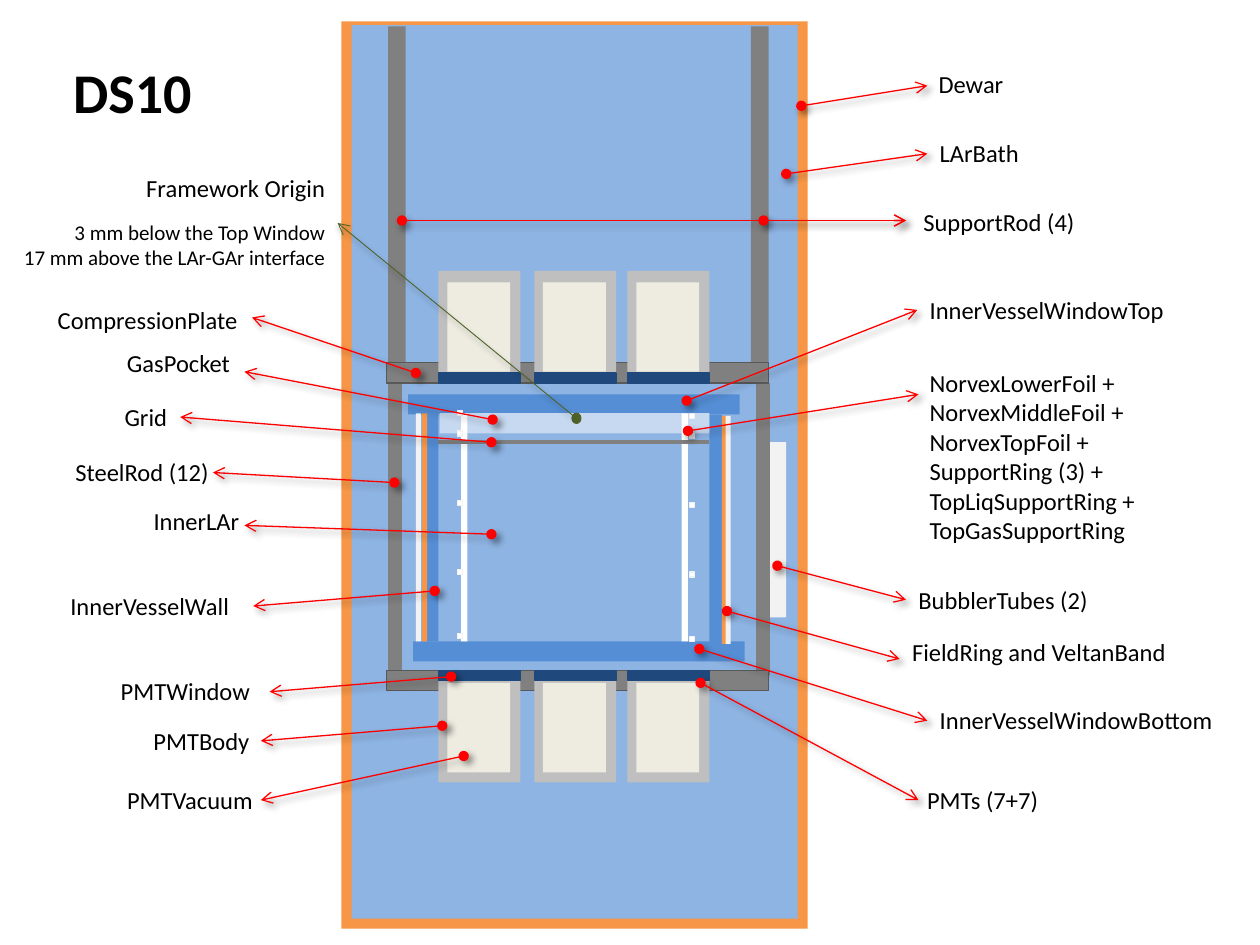
import pptx
import pptx.util
import pptx.dml.color
import pptx.enum.shapes
import pptx.enum.text
import pptx.oxml
import pptx.oxml.ns

ORANGE, BATH, VESSEL, STEEL = "F79646", "8EB4E3", "558ED5", "808080"
WHITE, PALE, GAS, GREY = "FFFFFF", "F2F2F2", "C6D9F1", "595959"
BODY, WINDOW, VACUUM = "BFBFBF", "1F497D", "EEECE1"
RED, GREEN, BLACK = "FF0000", "4F6228", "000000"

# (left, top, width, height, fill), from back to front
VESSEL_PARTS = [
    (2.71, 0.17, 3.7, 7.2, ORANGE), (2.79, 0.2, 3.54, 7.09, BATH),
    (3.24, 3.13, 2.63, 0.16, VESSEL), (3.28, 5.09, 2.63, 0.16, VESSEL),
    (3.08, 0.21, 0.14, 2.68, STEEL), (5.96, 0.21, 0.14, 2.68, STEEL),
    (3.38, 3.28, 0.1, 1.81, VESSEL), (5.63, 3.29, 0.1, 1.81, VESSEL),
    (3.49, 3.28, 2.14, 0.16, GAS),
    (5.41, 3.28, 0.05, 1.81, WHITE), (3.66, 3.28, 0.05, 1.81, WHITE),
    (5.73, 3.3, 0.04, 1.81, ORANGE), (5.76, 3.3, 0.04, 1.81, PALE),
    (3.35, 3.28, 0.04, 1.81, ORANGE), (3.3, 3.28, 0.04, 1.81, PALE),
]
RING_SIZE = 0.04
RING_TOPS = [3.26, 3.42, 3.97, 4.52, 5.03]
RING_COLUMNS = [(3.63, 0), (5.47, 0.02)]  # left, drop below RING_TOPS
FRAME_PARTS = [
    (6.1, 3.51, 0.14, 1.39, PALE),
    (6, 3.04, 0.11, 2.32, STEEL), (3.08, 3.04, 0.11, 2.32, STEEL),
    (3.07, 2.88, 3.03, 0.16, STEEL, GREY), (3.07, 5.32, 3.03, 0.16, STEEL, GREY),
]
PMT_LEFTS = [3.48, 4.24, 4.98]
PMT_ROWS = [(2.15, 2.96, 2.24), (5.32, 5.32, 5.42)]  # tops of body, window, vacuum

# (start, tip, label left, top, width, text)
CALLOUTS = [
    ((6.36, 0.84), (7.36, 0.68), 7.35, 0.5, 0.72, "Dewar"),
    ((6.24, 1.38), (7.36, 1.22), 7.36, 1.05, 0.84, "LArBath"),
    ((6.06, 1.75), (7.19, 1.75), 7.23, 1.59, 1.42, "SupportRod (4)"),
    ((3.19, 1.75), (7.19, 1.75), 0, 0, 0, ""),
    ((3.45, 4.69), (2.01, 4.81), 0.46, 4.64, 1.49, "InnerVesselWall"),
    ((5.77, 4.85), (7.14, 5.23), 7.14, 5.01, 2.3, "FieldRing and VeltanBand"),
    ((6.17, 4.49), (7.19, 4.76), 7.19, 4.59, 1.57, "BubblerTubes (2)"),
    ((5.46, 3.42), (7.29, 3.13), 7.28, 2.87, 1.86,
     "NorvexLowerFoil +\nNorvexMiddleFoil +\nNorvexTopFoil +\n"
     "SupportRing (3) +\nTopLiqSupportRing +\nTopGasSupportRing"),
    ((5.45, 3.18), (7.28, 2.46), 7.28, 2.29, 2.1, "InnerVesselWindowTop"),
    ((5.55, 5.15), (7.36, 5.72), 7.36, 5.55, 2.39, "InnerVesselWindowBottom"),
    ((3.91, 3.33), (1.94, 2.95), 0.91, 2.71, 1.04, "GasPocket"),
    ((3.9, 4.24), (1.94, 4.17), 1.12, 3.97, 0.89, "InnerLAr"),
    ((3.9, 3.51), (1.43, 3.31), 0.89, 3.14, 0.54, "Grid"),
    ((3.13, 3.83), (1.69, 3.75), 0.5, 3.58, 1.27, "SteelRod (12)"),
    ((3.3, 2.96), (2, 2.52), 0.36, 2.37, 1.65, "CompressionPlate"),
    ((3.58, 5.37), (2.14, 5.49), 0.86, 5.32, 1.24, "PMTWindow"),
    ((3.51, 5.76), (2.07, 5.88), 1.12, 5.71, 0.97, "PMTBody"),
    ((3.68, 6), (2.07, 6.35), 0.91, 6.18, 1.22, "PMTVacuum"),
    ((5.56, 5.42), (7.29, 6.35), 7.26, 6.18, 1.1, "PMTs (7+7)"),
]
# (text, size, space before)
ORIGIN_NOTE = [
    ("Framework Origin", 14, 0),
    ("3 mm below the Top Window", 12, 10),
    ("17 mm above the LAr-GAr interface", 12, 0),
]
LABEL_HEIGHT, LINE_STEP = 0.34, 0.23

SHAPE = pptx.enum.shapes.MSO_SHAPE
ALIGN = pptx.enum.text.PP_ALIGN
inch, pt = pptx.util.Inches, pptx.util.Pt


def rgb(color):
    return pptx.dml.color.RGBColor.from_string(color)


def add_part(slide, left, top, width, height, fill, line=None, kind=SHAPE.RECTANGLE):
    sp = slide.shapes.add_shape(kind, inch(left), inch(top), inch(width), inch(height))
    sp.shadow.inherit = False
    sp.fill.solid()
    sp.fill.fore_color.rgb = rgb(fill)
    if line:
        sp.line.color.rgb = rgb(line)
        sp.line.width = pt(0.75)
    else:
        sp.line.fill.background()


def add_line(slide, start, end, color, width, head=None, tail=None, shadow=None):
    """Shadow is (opacity %, blur pt, distance pt, direction in degrees)."""
    c = slide.shapes.add_connector(pptx.enum.shapes.MSO_CONNECTOR.STRAIGHT,
                                   *map(inch, start + end))
    c.line.color.rgb = rgb(color)
    c.line.width = pt(width)
    ns = pptx.oxml.ns.nsdecls("a")
    ln = c.line._get_or_add_ln()
    for tag, end_type in (("headEnd", head), ("tailEnd", tail)):
        if end_type:
            ln.append(pptx.oxml.parse_xml(f'<a:{tag} {ns} type="{end_type}"/>'))
    effect = ""
    if shadow:
        alpha, blur, dist, angle = shadow
        effect = (f'<a:outerShdw blurRad="{pt(blur)}" dist="{pt(dist)}" '
                  f'dir="{angle * 60000}" rotWithShape="0"><a:srgbClr val="{BLACK}">'
                  f'<a:alpha val="{alpha * 1000}"/></a:srgbClr></a:outerShdw>')
    c._element.spPr.append(
        pptx.oxml.parse_xml(f"<a:effectLst {ns}>{effect}</a:effectLst>"))


def style(p, size, bold=False, align=ALIGN.LEFT):
    p.alignment = align
    p.font.name, p.font.size, p.font.bold = "Calibri", pt(size), bold
    p.font.color.rgb = rgb(BLACK)


def add_text_frame(slide, left, top, width, height, wrap=False):
    sp = slide.shapes.add_textbox(inch(left), inch(top), inch(width), inch(height))
    sp.text_frame.word_wrap = wrap
    return sp.text_frame


def add_label(slide, left, top, width, text):
    height = LABEL_HEIGHT + LINE_STEP * text.count("\n")
    # Wrapping would depend on the box width; labels keep their own line breaks.
    tf = add_text_frame(slide, left, top, width, height)
    tf.text = text
    for p in tf.paragraphs:
        style(p, 14)


def add_title(slide, text):
    sp = slide.shapes.title
    sp.left, sp.top, sp.width, sp.height = map(inch, (0.48, 0.4, 1.15, 0.64))
    tf = sp.text_frame
    tf.text = text
    tf.word_wrap = False
    tf.auto_size = pptx.enum.text.MSO_AUTO_SIZE.NONE
    style(tf.paragraphs[0], 32, bold=True)


def add_detector(slide):
    for part in VESSEL_PARTS:
        add_part(slide, *part)
    add_line(slide, (3.48, 3.51), (5.63, 3.51), STEEL, 2)
    for left, drop in RING_COLUMNS:
        for top in RING_TOPS:
            add_part(slide, left, top + drop, RING_SIZE, RING_SIZE, WHITE, PALE)
    for part in FRAME_PARTS:
        add_part(slide, *part)
    for body, window, vacuum in PMT_ROWS:
        for left in PMT_LEFTS:
            add_part(slide, left, body, 0.65, 0.89, BODY)
            add_part(slide, left, window, 0.65, 0.08, WINDOW, WINDOW)
            add_part(slide, left + 0.07, vacuum, 0.5, 0.71, VACUUM)


def add_origin(slide):
    add_part(slide, 4.54, 3.28, 0.07, 0.08, GREEN, GREEN, SHAPE.OVAL)
    tf = add_text_frame(slide, 0.02, 1.32, 2.66, 0.91, wrap=True)
    tf.text = "\n".join(text for text, _, _ in ORIGIN_NOTE)
    for p, (_, size, before) in zip(tf.paragraphs, ORIGIN_NOTE):
        style(p, size, align=ALIGN.RIGHT)
        p.space_before = pt(before)
    add_line(slide, (4.55, 3.3), (2.68, 1.77), GREEN, 0.5, tail="arrow",
             shadow=(38, 3.1, 1.6, 90))


def main():
    prs = pptx.Presentation()
    prs.slide_width, prs.slide_height = inch(10), inch(7.5)
    slide = prs.slides.add_slide(prs.slide_layouts[5])
    add_title(slide, "DS10")
    add_detector(slide)
    for start, tip, left, top, width, text in CALLOUTS:
        add_line(slide, start, tip, RED, 0.75, "oval", "arrow", (43, 4, 3, 45))
        if text:
            add_label(slide, left, top, width, text)
    add_origin(slide)
    prs.save("out.pptx")


if __name__ == "__main__":
    main()
